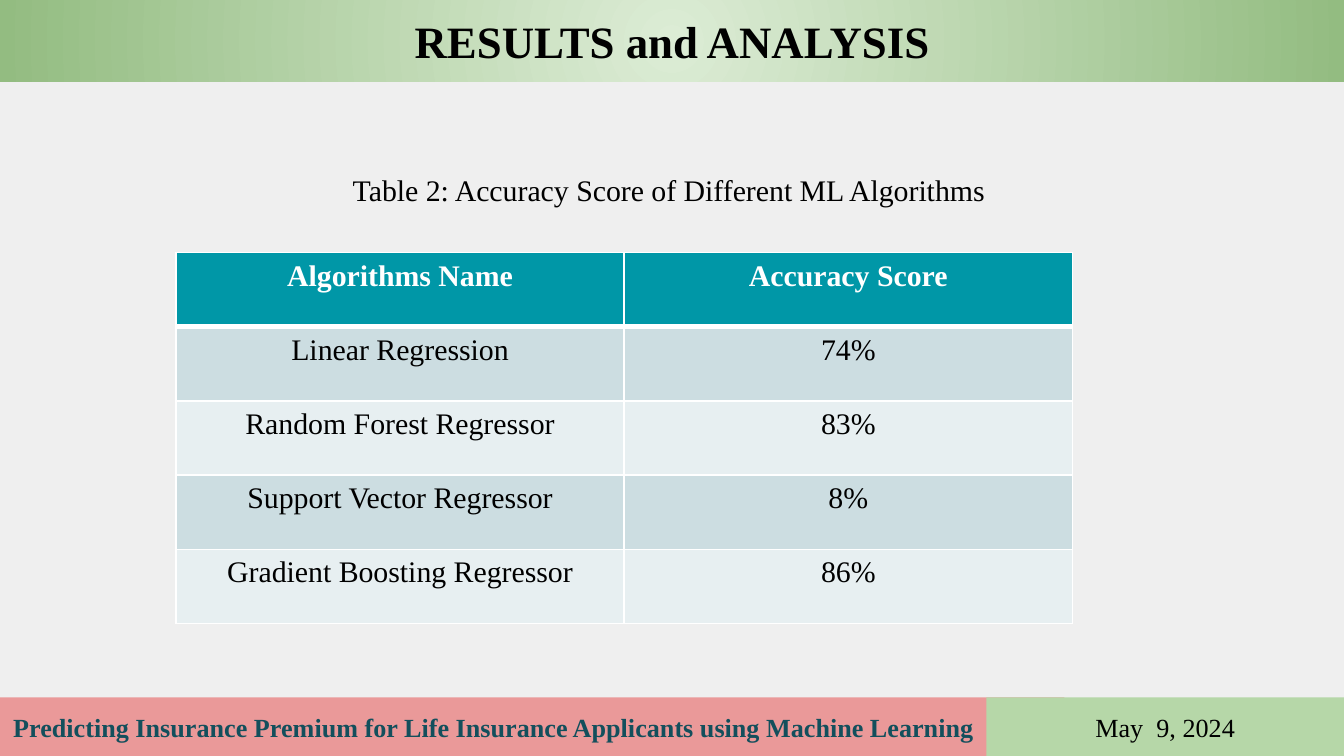
from lxml import etree
from pptx import Presentation
from pptx.dml.color import RGBColor
from pptx.enum.shapes import MSO_SHAPE
from pptx.enum.text import MSO_ANCHOR, PP_ALIGN
from pptx.oxml import parse_xml
from pptx.oxml.ns import nsdecls, qn
from pptx.util import Inches, Pt

RECTANGLE = MSO_SHAPE.RECTANGLE
MIDDLE, BOTTOM, TOP = MSO_ANCHOR.MIDDLE, MSO_ANCHOR.BOTTOM, MSO_ANCHOR.TOP
LEFT, CENTER = PP_ALIGN.LEFT, PP_ALIGN.CENTER

FONT = "Times New Roman"
BLACK, WHITE = "000000", "FFFFFF"
HEADER_FILL = "0097A7"
BAND_FILLS = ["CCDDE1", "E7EFF1"]
SCORES = [
    ("Algorithms Name", "Accuracy Score"),
    ("Linear Regression", "74%"),
    ("Random Forest Regressor", "83%"),
    ("Support Vector Regressor", "8%"),
    ("Gradient Boosting Regressor", "86%"),
]


def rgb(value):
    return RGBColor.from_string(value)


def paint(fill, color):
    fill.solid()
    fill.fore_color.rgb = rgb(color)


def write(frame, text, size, color=BLACK, bold=False, align=CENTER):
    paragraph = frame.paragraphs[0]
    paragraph.alignment = align
    run = paragraph.add_run()
    run.text = text
    run.font.name = FONT
    run.font.size = Pt(size)
    run.font.bold = bold
    run.font.color.rgb = rgb(color)
    return paragraph


def add_bar(slide, box, color):
    bar = slide.shapes.add_shape(RECTANGLE, *map(Inches, box))
    bar.shadow.inherit = False
    bar.line.fill.background()
    paint(bar.fill, color)
    frame = bar.text_frame
    frame.word_wrap = True
    frame.vertical_anchor = MIDDLE
    frame.margin_left = frame.margin_right = Inches(0.1)
    frame.margin_top = frame.margin_bottom = Inches(0.1)
    return bar


def add_radial_gradient(bar, center_color, edge_color):
    properties = bar.fill._xPr
    gradient = parse_xml(
        f'<a:gradFill {nsdecls("a")} rotWithShape="1"><a:gsLst>'
        f'<a:gs pos="0"><a:srgbClr val="{center_color}"/></a:gs>'
        f'<a:gs pos="100000"><a:srgbClr val="{edge_color}"/></a:gs></a:gsLst>'
        '<a:path path="circle"><a:fillToRect l="50000" t="50000" r="50000" b="50000"/></a:path>'
        "</a:gradFill>"
    )
    properties.replace(properties.find(qn("a:solidFill")), gradient)


def add_title(slide, box):
    banner = add_bar(slide, box, "DCECD5")
    add_radial_gradient(banner, "DCECD5", "93BC81")
    write(banner.text_frame, "RESULTS and ANALYSIS", 24, bold=True)


def add_footer(slide, box):
    left, top, width, height = box
    date_width = 2.66
    topic = add_bar(slide, (left, top, 7.92, height), "EA9999")
    write(
        topic.text_frame,
        "Predicting Insurance Premium for Life Insurance Applicants using Machine Learning",
        14, "134F5C", True, LEFT,
    )
    date = add_bar(slide, (left + width - date_width, top, date_width, height), "B6D7A8")
    write(date.text_frame, "May  9, 2024", 14)


def add_caption(slide, box):
    frame = slide.shapes.add_textbox(*map(Inches, box)).text_frame
    frame.word_wrap = True
    frame.vertical_anchor = BOTTOM
    frame.margin_bottom = Inches(0.1)
    caption = write(frame, "Table 2: Accuracy Score of Different ML Algorithms ", 16)
    caption.line_spacing = 1.15


def add_borders(cell, widths):
    properties = cell._tc.get_or_add_tcPr()
    for index, (side, width) in enumerate(widths.items()):
        border = etree.Element(qn(f"a:ln{side}"), w=str(Pt(width)))
        solid = etree.SubElement(border, qn("a:solidFill"))
        etree.SubElement(solid, qn("a:srgbClr"), val=WHITE)
        properties.insert(index, border)


def add_scores(slide, box):
    table = slide.shapes.add_table(len(SCORES), len(SCORES[0]), *map(Inches, box)).table
    for row, values in enumerate(SCORES):
        header = row == 0
        for column, value in enumerate(values):
            cell = table.cell(row, column)
            cell.vertical_anchor = TOP
            paint(cell.fill, HEADER_FILL if header else BAND_FILLS[(row - 1) % 2])
            add_borders(cell, {"L": 1, "R": 1, "T": 3 if row == 1 else 1, "B": 3 if header else 1})
            write(cell.text_frame, value, 16, WHITE if header else BLACK, header)


def main():
    deck = Presentation()
    deck.slide_width = Inches(10)
    deck.slide_height = deck.slide_width * 9 // 16
    slide = deck.slides.add_slide(deck.slide_layouts[6])
    paint(slide.background.fill, "EFEFEF")
    add_title(slide, (0, 0, 10, 0.61))
    add_footer(slide, (0, 5.19, 10, 0.44))
    add_caption(slide, (0.36, 0.92, 9.29, 0.72))
    add_scores(slide, (1.31, 1.88, 6.67, 2.76))
    deck.save("out.pptx")


if __name__ == "__main__":
    main()
